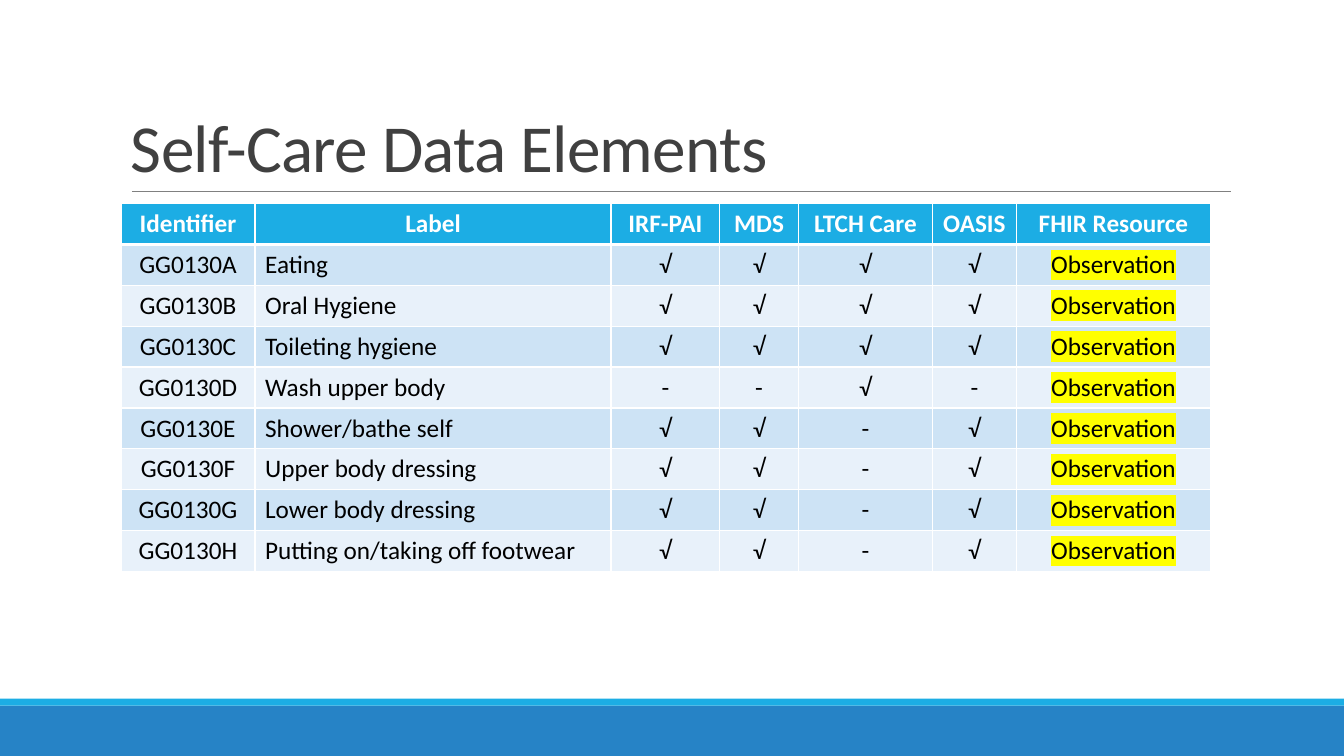
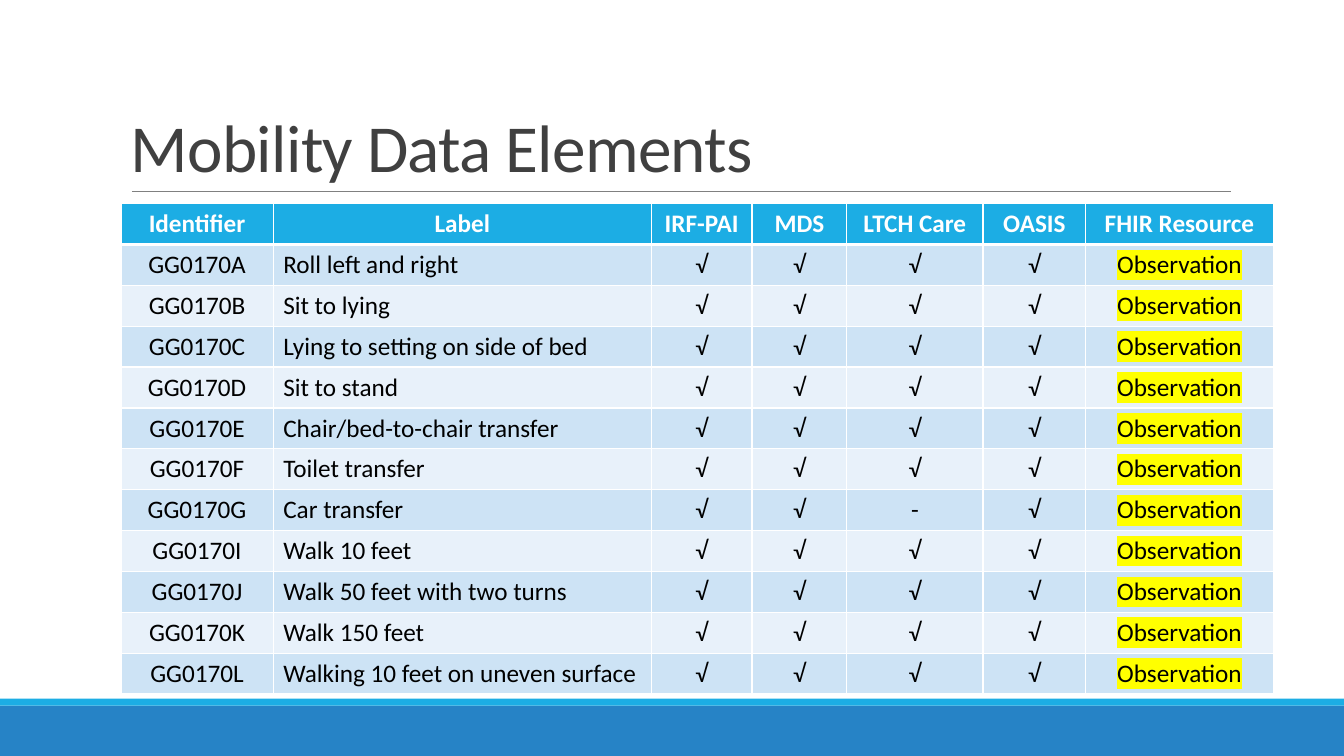
from lxml.etree import SubElement
from pptx import Presentation
from pptx.dml.color import RGBColor
from pptx.enum.shapes import MSO_CONNECTOR, MSO_SHAPE
from pptx.enum.text import MSO_ANCHOR, PP_ALIGN
from pptx.oxml.ns import qn
from pptx.util import Inches, Pt

W, H = Inches(13.33), Inches(7.5)
FONT = "Calibri"
COLORS = {
    "band": "2683C6", "accent": "1CADE4", "rule": "808080",
    "title": "404040", "white": "FFFFFF", "black": "000000",
    "odd": "CDE3F5", "even": "E8F1FA", "mark": "FFFF00",
}
HEADERS = ["Identifier", "Label", "IRF-PAI", "MDS", "LTCH Care", "OASIS", "FHIR Resource"]
RESOURCE = "Observation"
LABEL_COL, RESOURCE_COL = 1, 6
ROW_HEIGHT = 5.41

SELF_CARE = [
    ("A", "Eating", "√√√√"),
    ("B", "Oral Hygiene", "√√√√"),
    ("C", "Toileting hygiene", "√√√√"),
    ("D", "Wash upper body", "--√-"),
    ("E", "Shower/bathe self", "√√-√"),
    ("F", "Upper body dressing", "√√-√"),
    ("G", "Lower body dressing", "√√-√"),
    ("H", "Putting on/taking off footwear", "√√-√"),
]
MOBILITY = [
    ("A", "Roll left and right", "√√√√"),
    ("B", "Sit to lying", "√√√√"),
    ("C", "Lying to setting on side of bed", "√√√√"),
    ("D", "Sit to stand", "√√√√"),
    ("E", "Chair/bed-to-chair transfer", "√√√√"),
    ("F", "Toilet transfer", "√√√√"),
    ("G", "Car transfer", "√√-√"),
    ("I", "Walk 10 feet", "√√√√"),
    ("J", "Walk 50 feet with two turns", "√√√√"),
    ("K", "Walk 150 feet", "√√√√"),
    ("L", "Walking 10 feet on uneven surface", "√√√√"),
]
SLIDES = [
    ("Self-Care Data Elements", "GG0130", SELF_CARE,
     [9.98, 26.48, 8.1, 5.85, 9.98, 6.23, 14.48]),
    ("Mobility Data Elements", "GG0170", MOBILITY,
     [11.33, 28.13, 7.5, 7.05, 10.13, 7.65, 13.95]),
]


def col(n):
    return round(W * n / 100)


def row(n):
    return round(H * n / 100)


def rgb(name):
    return RGBColor.from_string(COLORS[name])


def write(tf, text, size=18, color="black", bold=False, align=PP_ALIGN.LEFT,
          line_spacing=None, spacing=None, highlight=None):
    p = tf.paragraphs[0]
    p.alignment = align
    if line_spacing:
        p.line_spacing = line_spacing
    r = p.add_run()
    r.text = text
    r.font.size = Pt(size)
    r.font.bold = bold
    r.font.color.rgb = rgb(color)
    rPr = r.font._element
    if highlight:
        mark = SubElement(rPr, qn("a:highlight"))
        SubElement(mark, qn("a:srgbClr"), val=COLORS[highlight])
    if spacing:
        rPr.set("spc", str(round(spacing * 100)))
    r.font.name = FONT


def add_band(s, top, height, color):
    sp = s.shapes.add_shape(MSO_SHAPE.RECTANGLE, 0, row(top), W, row(height))
    sp.shadow.inherit = False
    sp.fill.solid()
    sp.fill.fore_color.rgb = rgb(color)
    sp.line.fill.background()


def add_rule(s, left, right, top):
    line = s.shapes.add_connector(MSO_CONNECTOR.STRAIGHT, col(left), row(top),
                                  col(right), row(top))
    line.line.color.rgb = rgb("rule")
    line.line.width = Pt(0.5)
    SubElement(line._element.spPr, qn("a:effectLst"))


def add_title(s, text):
    box = s.shapes.add_textbox(col(9), row(4.13), col(82.5), row(21.2))
    tf = box.text_frame
    tf.word_wrap = True
    tf.vertical_anchor = MSO_ANCHOR.BOTTOM
    write(tf, text, size=48, color="title", line_spacing=0.85, spacing=-0.5)


def set_borders(cell, **widths):
    tcPr = cell._tc.get_or_add_tcPr()
    for i, side in enumerate("LRTB"):
        ln = tcPr.makeelement(qn(f"a:ln{side}"), {"w": str(Pt(widths.get(side, 1)))})
        fill = SubElement(ln, qn("a:solidFill"))
        SubElement(fill, qn("a:srgbClr"), val=COLORS["white"])
        tcPr.insert(i, ln)


def fill_cell(cell, text, fill, **fmt):
    cell.fill.solid()
    cell.fill.fore_color.rgb = rgb(fill)
    write(cell.text_frame, text, **fmt)


def add_elements_table(s, prefix, elements, widths):
    frame = s.shapes.add_table(len(elements) + 1, len(HEADERS), col(9), row(26.93),
                               col(sum(widths)), row(ROW_HEIGHT * (len(elements) + 1)))
    table = frame.table
    table.horz_banding = False
    for column, width in zip(table.columns, widths):
        column.width = col(width)
    for table_row in table.rows:
        table_row.height = row(ROW_HEIGHT)
    for j, header in enumerate(HEADERS):
        cell = table.cell(0, j)
        fill_cell(cell, header, "accent", color="white", bold=True, align=PP_ALIGN.CENTER)
        set_borders(cell, B=3)
    for i, (letter, label, marks) in enumerate(elements, 1):
        for j, text in enumerate([prefix + letter, label, *marks, RESOURCE]):
            cell = table.cell(i, j)
            fill_cell(cell, text, "odd" if i % 2 else "even",
                      align=PP_ALIGN.LEFT if j == LABEL_COL else PP_ALIGN.CENTER,
                      highlight="mark" if j == RESOURCE_COL else None)
            set_borders(cell, T=3 if i == 1 else 1)


def add_base(prs, title):
    s = prs.slides.add_slide(prs.slide_layouts[6])
    add_band(s, 93.33, 6.67, "band")
    add_band(s, 92.4, 0.93, "accent")
    add_rule(s, 9.82, 91.6, 25.33)
    add_title(s, title)
    return s


def main():
    prs = Presentation()
    prs.slide_width, prs.slide_height = W, H
    for title, prefix, elements, widths in SLIDES:
        s = add_base(prs, title)
        add_elements_table(s, prefix, elements, widths)
    prs.save("out.pptx")


main()
